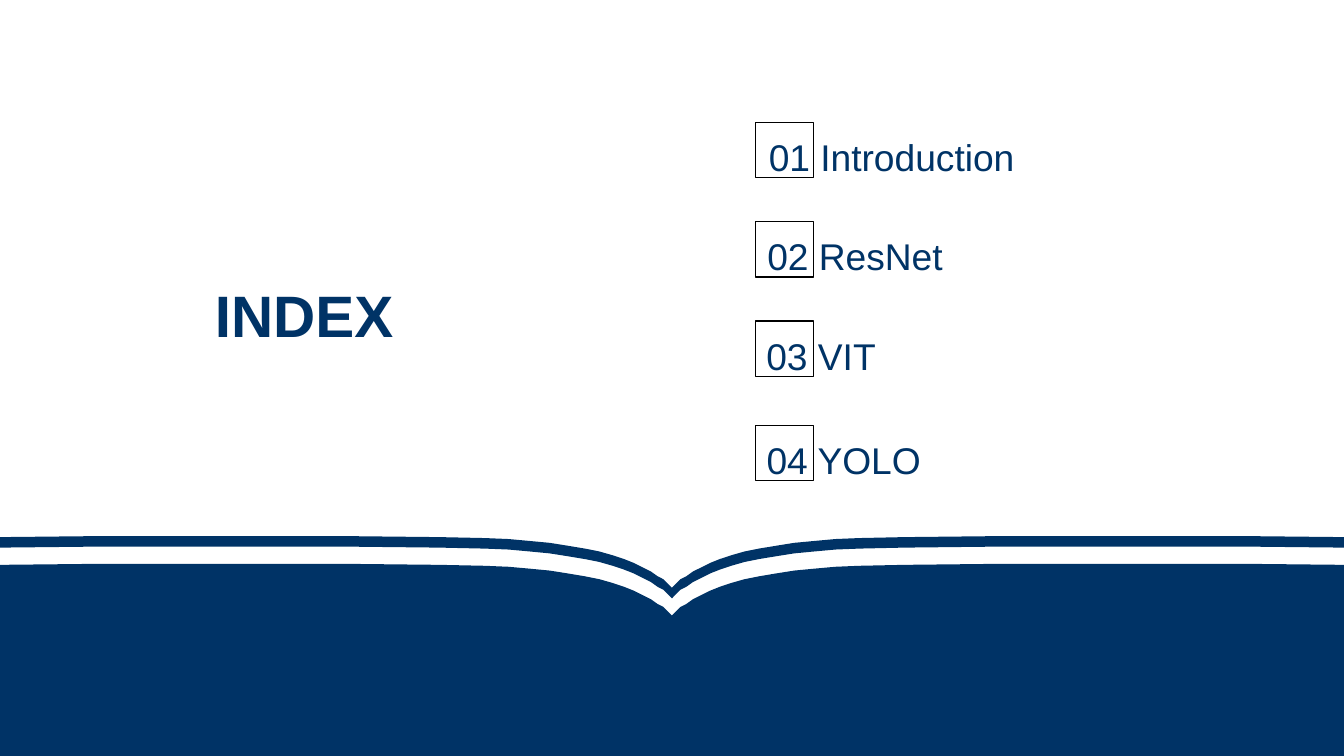
from pptx import Presentation
from pptx.dml.color import RGBColor
from pptx.enum.shapes import MSO_SHAPE
from pptx.enum.text import MSO_AUTO_SIZE, PP_ALIGN
from pptx.util import Inches, Pt

RECTANGLE = MSO_SHAPE.RECTANGLE
GROW = MSO_AUTO_SIZE.SHAPE_TO_FIT_TEXT
LEFT, RIGHT = PP_ALIGN.LEFT, PP_ALIGN.RIGHT

# Content: entry, top and width of its text in inches
TITLE = "INDEX"
ENTRIES = [
    ("01 Introduction", 1.26, 2.81),
    ("02 ResNet", 2.30, 2.06),
    ("03 VIT", 3.34, 1.36),
    ("04 YOLO", 4.43, 1.83),
]
COLORS = {"navy": "003366", "black": "000000"}
FONT = "Arial"

# Layout in inches
WIDTH, HEIGHT = 14.06, 7.91
ENTRY_LEFT, ENTRY_HEIGHT = 7.9, 0.61
FRAME_WIDTH, FRAME_HEIGHT, FRAME_DROP = 0.61, 0.58, 0.02
BAND_THICKNESS, PAGE_DROP = 0.11, 0.29

# Upper edge of the open book, from the left side to the fold
LEFT_EDGE = [
    (0, 5.62), (0.95, 5.61), (2.5, 5.61), (3.68, 5.61), (4.6, 5.62),
    (5.07, 5.63), (5.32, 5.64), (5.54, 5.66), (5.75, 5.68), (5.94, 5.71),
    (6.12, 5.74), (6.27, 5.77), (6.41, 5.81), (6.53, 5.85), (6.63, 5.89),
    (6.73, 5.94), (6.81, 5.98), (6.88, 6.03), (6.94, 6.06), (6.99, 6.11),
    (WIDTH / 2, 6.15),
]
BOOK_EDGE = LEFT_EDGE + [(WIDTH - x, y) for x, y in LEFT_EDGE[-2::-1]]


def color(name):
    return RGBColor.from_string(COLORS[name])


def add_text(page, text, left, top, width, height, size, align, wrap, bold=False):
    box = page.shapes.add_textbox(*map(Inches, (left, top, width, height)))
    frame = box.text_frame
    frame.word_wrap = wrap
    frame.auto_size = GROW
    para = frame.paragraphs[0]
    para.text = text
    para.alignment = align
    para.line_spacing = 1.2
    para.font.name = FONT
    para.font.size = Pt(size)
    para.font.bold = bold
    para.font.color.rgb = color("navy")


def add_frame(page, top):
    frame = page.shapes.add_shape(
        RECTANGLE, *map(Inches, (ENTRY_LEFT, top, FRAME_WIDTH, FRAME_HEIGHT)))
    frame.shadow.inherit = False
    frame.fill.background()
    frame.line.color.rgb = color("black")
    frame.line.width = Pt(1)


def add_outline(page, points):
    corners = [(Inches(x), Inches(y)) for x, y in points]
    builder = page.shapes.build_freeform(*corners[0])
    builder.add_line_segments(corners[1:], close=True)
    outline = builder.convert_to_shape()
    outline.shadow.inherit = False
    outline.fill.solid()
    outline.fill.fore_color.rgb = color("navy")
    outline.line.fill.background()


def lowered(edge, drop):
    return [(x, y + drop) for x, y in edge]


def main():
    deck = Presentation()
    deck.slide_width, deck.slide_height = Inches(WIDTH), Inches(HEIGHT)
    page = deck.slides.add_slide(deck.slide_layouts[6])

    # Entries with framed numbers
    for text, top, width in ENTRIES:
        add_text(page, text, ENTRY_LEFT, top, width, ENTRY_HEIGHT, 28, RIGHT, False)
        add_frame(page, top + FRAME_DROP)

    # Title
    add_text(page, TITLE, 2.15, 2.72, 3.66, 0.91, 44, LEFT, True, bold=True)

    # Open book: page body, then the band above it
    add_outline(page, lowered(BOOK_EDGE, PAGE_DROP) + [(WIDTH, HEIGHT), (0, HEIGHT)])
    add_outline(page, BOOK_EDGE + lowered(BOOK_EDGE, BAND_THICKNESS)[::-1])

    deck.save("out.pptx")


if __name__ == "__main__":
    main()
